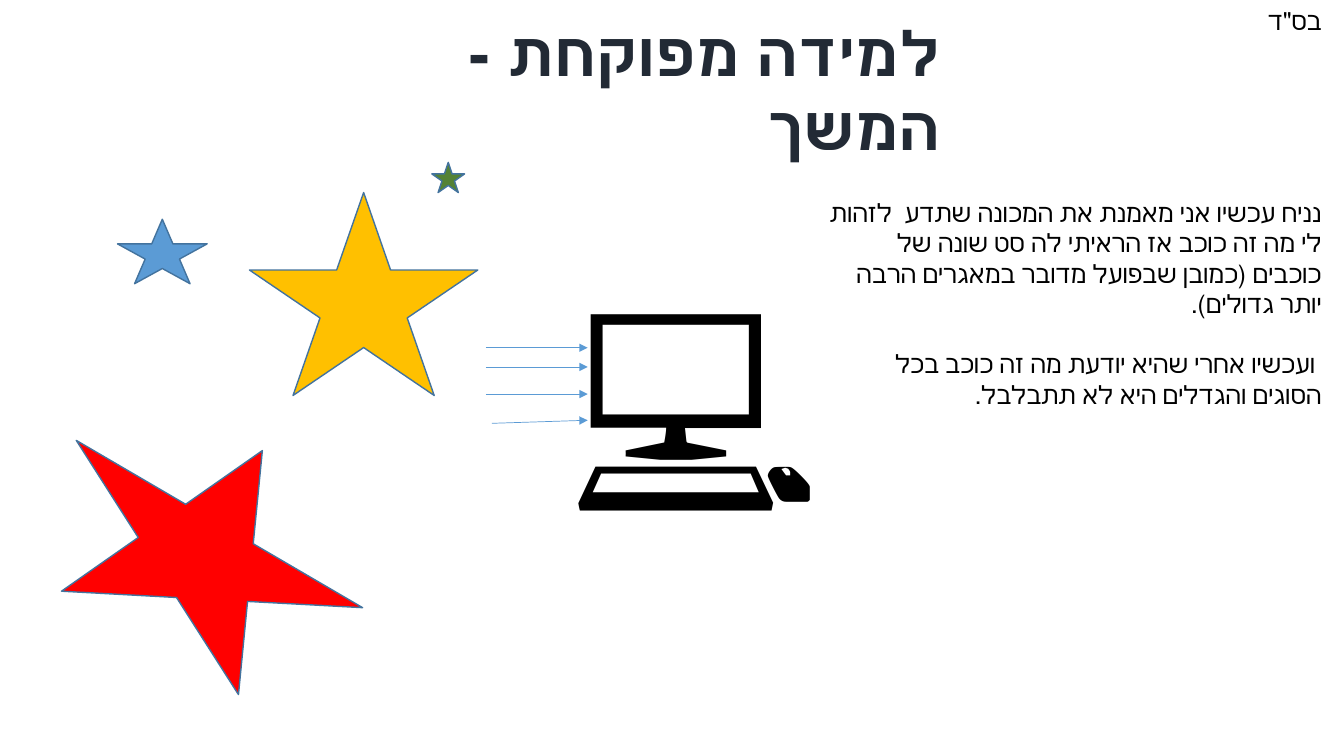
import pptx
import pptx.dml.color
import pptx.enum.shapes
import pptx.enum.text
import pptx.oxml.ns
import pptx.util
from lxml import etree

Pt = pptx.util.Pt
RGB = pptx.dml.color.RGBColor
BLACK = RGB(0x00, 0x00, 0x00)
NAVY = RGB(0x22, 0x2A, 0x35)
BLUE = RGB(0x5B, 0x9B, 0xD5)
EDGE = RGB(0x43, 0x73, 0x9E)
GOLD = RGB(0xFF, 0xC0, 0x00)
RED = RGB(0xFF, 0x00, 0x00)
GREEN = RGB(0x54, 0x82, 0x35)


def add(node, tag, **attrs):
    """Append a DrawingML child to node."""
    return etree.SubElement(node, pptx.oxml.ns.qn(tag), **attrs)


class Board:
    face = "Roboto"

    def __init__(self, slide):
        self.shapes = slide.shapes

    def text(self, box, paras, size=18, color=BLACK, bold=False, wrap=True, gap=0):
        """Add right-to-left text, with gap points between paragraphs."""
        frame = self.shapes.add_textbox(*map(Pt, box)).text_frame
        frame.word_wrap = wrap
        frame.auto_size = pptx.enum.text.MSO_AUTO_SIZE.SHAPE_TO_FIT_TEXT
        for i, words in enumerate(paras):
            para = frame.paragraphs[0] if i == 0 else frame.add_paragraph()
            para.text = words
            para.alignment = pptx.enum.text.PP_ALIGN.RIGHT
            para._p.get_or_add_pPr().set("rtl", "1")
            if i:
                para.space_before = Pt(gap)
            font = para.font
            font.name, font.size, font.bold = self.face, Pt(size), bold
            font.color.rgb = color

    def star(self, box, color, turn=0):
        kind = pptx.enum.shapes.MSO_SHAPE.STAR_5_POINT
        star = self.shapes.add_shape(kind, *map(Pt, box))
        star.shadow.inherit = False
        star.rotation = turn
        star.fill.solid()
        star.fill.fore_color.rgb = color
        star.line.color.rgb = EDGE
        star.line.width = Pt(1)

    def arrow(self, *ends):
        kind = pptx.enum.shapes.MSO_CONNECTOR.STRAIGHT
        arrow = self.shapes.add_connector(kind, *map(Pt, ends))
        arrow.line.color.rgb = BLUE
        arrow.line.width = Pt(0.5)
        add(arrow.line._get_or_add_ln(), "a:tailEnd", type="triangle")
        add(arrow._element.spPr, "a:effectLst")


def main():
    deck = pptx.Presentation()
    deck.slide_width, deck.slide_height = Pt(960), Pt(540)
    board = Board(deck.slides.add_slide(deck.slide_layouts[6]))

    board.text((882.7, 0, 68.4, 29), ['בס"ד'])
    board.text((226.8, 7.2, 452.2, 60.5), ["למידה מפוקחת - המשך "],
               size=44, color=NAVY, bold=True, wrap=False)

    board.star((83.9, 156.6, 64.1, 46.1), BLUE)
    board.star((178.2, 137.5, 163.1, 145), GOLD)
    board.star((28.8, 311, 236.9, 159.1), RED, turn=30.3)
    board.star((308.5, 116, 23.4, 21.6), GREEN)

    board.text((395.3, 169.2, 197.3, 208), ["💻"], size=166)
    for y in (248.4, 262.1, 281.5):
        board.arrow(347, y, 419.8, y)
    board.arrow(351.4, 302.4, 419.8, 300.2)

    board.text((582.5, 137.5, 368.6, 160), [
        "נניח עכשיו אני מאמנת את המכונה שתדע  לזהות לי מה זה כוכב אז הראיתי לה "
        "סט שונה של כוכבים (כמובן שבפועל מדובר במאגרים הרבה יותר גדולים).",
        " ועכשיו אחרי שהיא יודעת מה זה כוכב בכל הסוגים והגדלים היא לא תתבלבל.",
    ], gap=21.6)

    deck.save("out.pptx")


if __name__ == "__main__":
    main()
